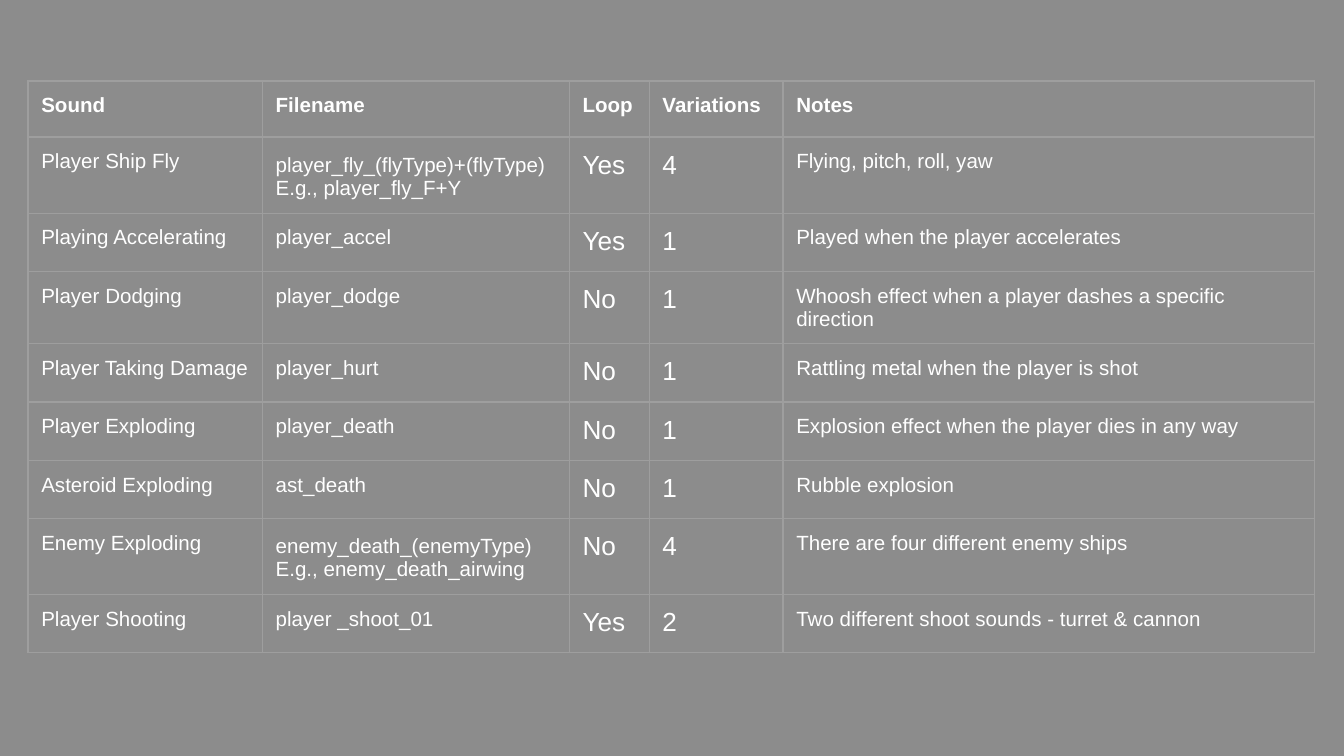
from dataclasses import dataclass

from lxml import etree
from pptx import Presentation
from pptx.dml.color import RGBColor
from pptx.enum.shapes import MSO_SHAPE
from pptx.oxml.ns import qn
from pptx.util import Cm, Pt

RECTANGLE = MSO_SHAPE.RECTANGLE
WHITE = RGBColor(0xFF, 0xFF, 0xFF)
SHADE = RGBColor(0x16, 0x16, 0x16)
GRID = RGBColor(0x9E, 0x9E, 0x9E)

FONT = "Arial"
SHADE_OPACITY = 49
TEXT_SIZE, VALUE_SIZE = Pt(11), Pt(14)
GRID_WIDTH = Pt(0.75)
INSET = Cm(0.25)

PAGE_WIDTH, PAGE_HEIGHT = Cm(25.4), Cm(14.29)
TABLE_LEFT, TABLE_TOP = Cm(0.53), Cm(1.53)
COLUMN_WIDTHS = [Cm(4.43), Cm(5.8), Cm(1.51), Cm(2.53), Cm(10.05)]
HEADER_HEIGHT, ROW_HEIGHT = Cm(1.06), Cm(1.1)
EXAMPLE_ROW_HEIGHT, WRAPPED_ROW_HEIGHT = Cm(1.44), Cm(1.37)
HEADERS = ["Sound", "Filename", "Loop", "Variations", "Notes"]


@dataclass
class Sound:
    name: str
    filename: str
    loop: str
    variations: int
    notes: str
    height: Cm = ROW_HEIGHT


SOUNDS = [
    Sound("Player Ship Fly", "player_fly_(flyType)+(flyType)\nE.g., player_fly_F+Y",
          "Yes", 4, "Flying, pitch, roll, yaw", EXAMPLE_ROW_HEIGHT),
    Sound("Playing Accelerating", "player_accel", "Yes", 1,
          "Played when the player accelerates"),
    Sound("Player Dodging", "player_dodge", "No", 1,
          "Whoosh effect when a player dashes a specific direction",
          WRAPPED_ROW_HEIGHT),
    Sound("Player Taking Damage", "player_hurt", "No", 1,
          "Rattling metal when the player is shot"),
    Sound("Player Exploding", "player_death", "No", 1,
          "Explosion effect when the player dies in any way"),
    Sound("Asteroid Exploding", "ast_death", "No", 1, "Rubble explosion"),
    Sound("Enemy Exploding", "enemy_death_(enemyType)\nE.g., enemy_death_airwing",
          "No", 4, "There are four different enemy ships", EXAMPLE_ROW_HEIGHT),
    Sound("Player Shooting", "player _shoot_01", "Yes", 2,
          "Two different shoot sounds - turret & cannon"),
]


def add_shade(page) -> None:
    """Cover the page with a half-transparent dark rectangle."""
    shade = page.shapes.add_shape(RECTANGLE, 0, 0, PAGE_WIDTH, PAGE_HEIGHT)
    shade.shadow.inherit = False
    shade.line.fill.background()
    shade.fill.solid()
    shade.fill.fore_color.rgb = SHADE
    color = shade.fill._xPr.find(qn("a:solidFill"))[0]
    etree.SubElement(color, qn("a:alpha"), val=str(SHADE_OPACITY * 1000))


def add_borders(cell) -> None:
    """Rule all four sides; borders must come before the cell's fill."""
    properties = cell._tc.get_or_add_tcPr()
    for position, side in enumerate(("lnL", "lnR", "lnT", "lnB")):
        line = etree.Element(qn(f"a:{side}"), w=str(GRID_WIDTH))
        fill = etree.SubElement(line, qn("a:solidFill"))
        etree.SubElement(fill, qn("a:srgbClr"), val=str(GRID))
        properties.insert(position, line)


def fill_cell(cell, text: str, size: Pt, bold: bool) -> None:
    cell.margin_left = cell.margin_right = INSET
    cell.margin_top = cell.margin_bottom = INSET
    cell.fill.background()
    add_borders(cell)
    cell.text_frame.text = text
    paragraphs = cell.text_frame.paragraphs
    if len(paragraphs) > 1:
        paragraphs[0].line_spacing = 1.15
    for paragraph in paragraphs:
        for span in paragraph.runs:
            span.font.name = FONT
            span.font.size = size
            span.font.bold = bold
            span.font.color.rgb = WHITE


def add_sound_table(page, sounds: list[Sound]) -> None:
    heights = [HEADER_HEIGHT] + [sound.height for sound in sounds]
    table = page.shapes.add_table(
        len(heights), len(HEADERS), TABLE_LEFT, TABLE_TOP,
        sum(COLUMN_WIDTHS), sum(heights)).table
    table.first_row = table.horz_banding = False
    for column, width in zip(table.columns, COLUMN_WIDTHS):
        column.width = width
    for row, height in zip(table.rows, heights):
        row.height = height

    # Header row
    for column, header in enumerate(HEADERS):
        fill_cell(table.cell(0, column), header, TEXT_SIZE, True)

    # One row per sound, with larger loop and variation values
    sizes = [TEXT_SIZE, TEXT_SIZE, VALUE_SIZE, VALUE_SIZE, TEXT_SIZE]
    for row, sound in enumerate(sounds, start=1):
        texts = [sound.name, sound.filename, sound.loop,
                 str(sound.variations), sound.notes]
        for column, (text, size) in enumerate(zip(texts, sizes)):
            fill_cell(table.cell(row, column), text, size, False)


def main() -> None:
    deck = Presentation()
    deck.slide_width, deck.slide_height = PAGE_WIDTH, PAGE_HEIGHT
    page = deck.slides.add_slide(deck.slide_layouts[6])
    add_shade(page)
    add_sound_table(page, SOUNDS)
    deck.save("out.pptx")


if __name__ == "__main__":
    main()
